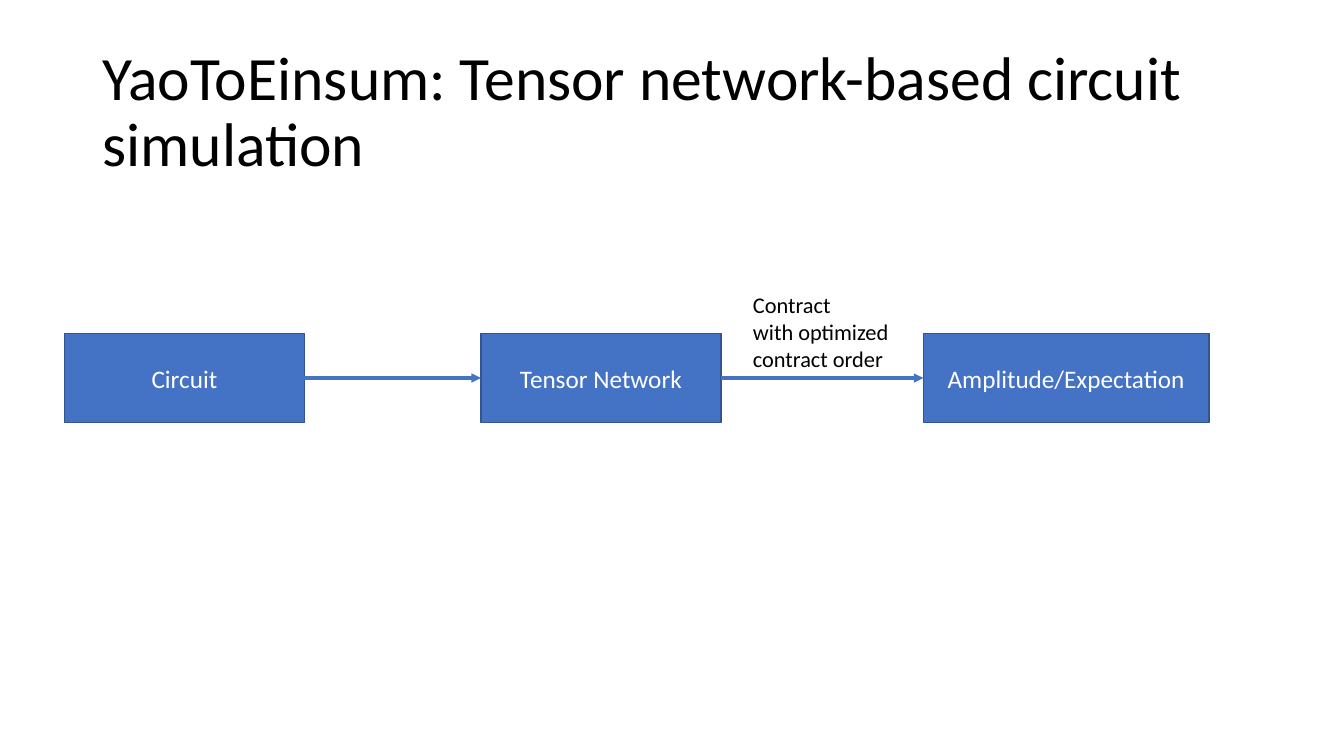
from itertools import pairwise

from pptx import Presentation
from pptx.dml.color import RGBColor
from pptx.enum.shapes import MSO_CONNECTOR, MSO_SHAPE
from pptx.enum.text import MSO_ANCHOR, MSO_AUTO_SIZE, PP_ALIGN
from pptx.oxml.ns import qn
from pptx.util import Pt
from lxml.etree import SubElement

# Content
TITLE = "YaoToEinsum: Tensor network-based circuit simulation"
STAGES = [  # label, left, width
    ("Circuit", 46, 171.5),
    ("Tensor Network", 343.5, 171.5),
    ("Amplitude/Expectation", 659.5, 204),
]
CONTRACTION_NOTE = "Contract\nwith optimized\ncontract order"

# Layout and colours
STAGE_TOP, STAGE_HEIGHT = 238.3, 63.4
FONT = "Calibri"
BLUE, DARK_BLUE, WHITE, BLACK = "4472C4", "325491", "FFFFFF", "000000"


def color(hex_string):
    return RGBColor.from_string(hex_string)


def place(shape, left, top, width, height):
    shape.left, shape.top = Pt(left), Pt(top)
    shape.width, shape.height = Pt(width), Pt(height)


def format_text(text_frame, size, hex_string, alignment, line_spacing=1.0):
    for paragraph in text_frame.paragraphs:
        paragraph.alignment = alignment
        paragraph.line_spacing = line_spacing
        for run in paragraph.runs:
            run.font.name = FONT
            run.font.size = Pt(size)
            run.font.color.rgb = color(hex_string)


def add_stage(slide, label, left, width):
    stage = slide.shapes.add_shape(
        MSO_SHAPE.RECTANGLE, Pt(left), Pt(STAGE_TOP), Pt(width), Pt(STAGE_HEIGHT))
    stage.shadow.inherit = False
    stage.fill.solid()
    stage.fill.fore_color.rgb = color(BLUE)
    stage.line.color.rgb = color(DARK_BLUE)
    stage.line.width = Pt(1)
    stage.text_frame.text = label
    stage.text_frame.vertical_anchor = MSO_ANCHOR.MIDDLE
    format_text(stage.text_frame, 18, WHITE, PP_ALIGN.CENTER)
    return stage


def add_arrow(slide, source, target):
    arrow = slide.shapes.add_connector(MSO_CONNECTOR.STRAIGHT, 0, 0, 0, 0)
    arrow.begin_connect(source, 3)
    arrow.end_connect(target, 1)
    arrow.line.color.rgb = color(BLUE)
    arrow.line.width = Pt(2.25)
    SubElement(arrow.line._get_or_add_ln(), qn("a:tailEnd"), type="triangle")
    SubElement(arrow._element.spPr, qn("a:effectLst"))


def main():
    presentation = Presentation()
    presentation.slide_width, presentation.slide_height = Pt(960), Pt(540)
    slide = presentation.slides.add_slide(presentation.slide_layouts[5])

    # Title
    title = slide.shapes.title
    place(title, 66, 28.75, 828, 104.4)
    title.text_frame.text = TITLE
    title.text_frame.word_wrap = True
    title.text_frame.auto_size = MSO_AUTO_SIZE.NONE
    title.text_frame.vertical_anchor = MSO_ANCHOR.MIDDLE
    format_text(title.text_frame, 44, BLACK, PP_ALIGN.LEFT, 0.9)

    # Stages joined by arrows
    stages = [add_stage(slide, *stage) for stage in STAGES]
    for source, target in pairwise(stages):
        add_arrow(slide, source, target)

    # Note above the second arrow
    note = slide.shapes.add_textbox(Pt(530.8), Pt(204.6), Pt(112.3), Pt(65.4))
    note.text_frame.text = CONTRACTION_NOTE
    note.text_frame.word_wrap = False
    note.text_frame.auto_size = MSO_AUTO_SIZE.SHAPE_TO_FIT_TEXT
    format_text(note.text_frame, 16, BLACK, PP_ALIGN.LEFT)

    presentation.save("out.pptx")


if __name__ == "__main__":
    main()
